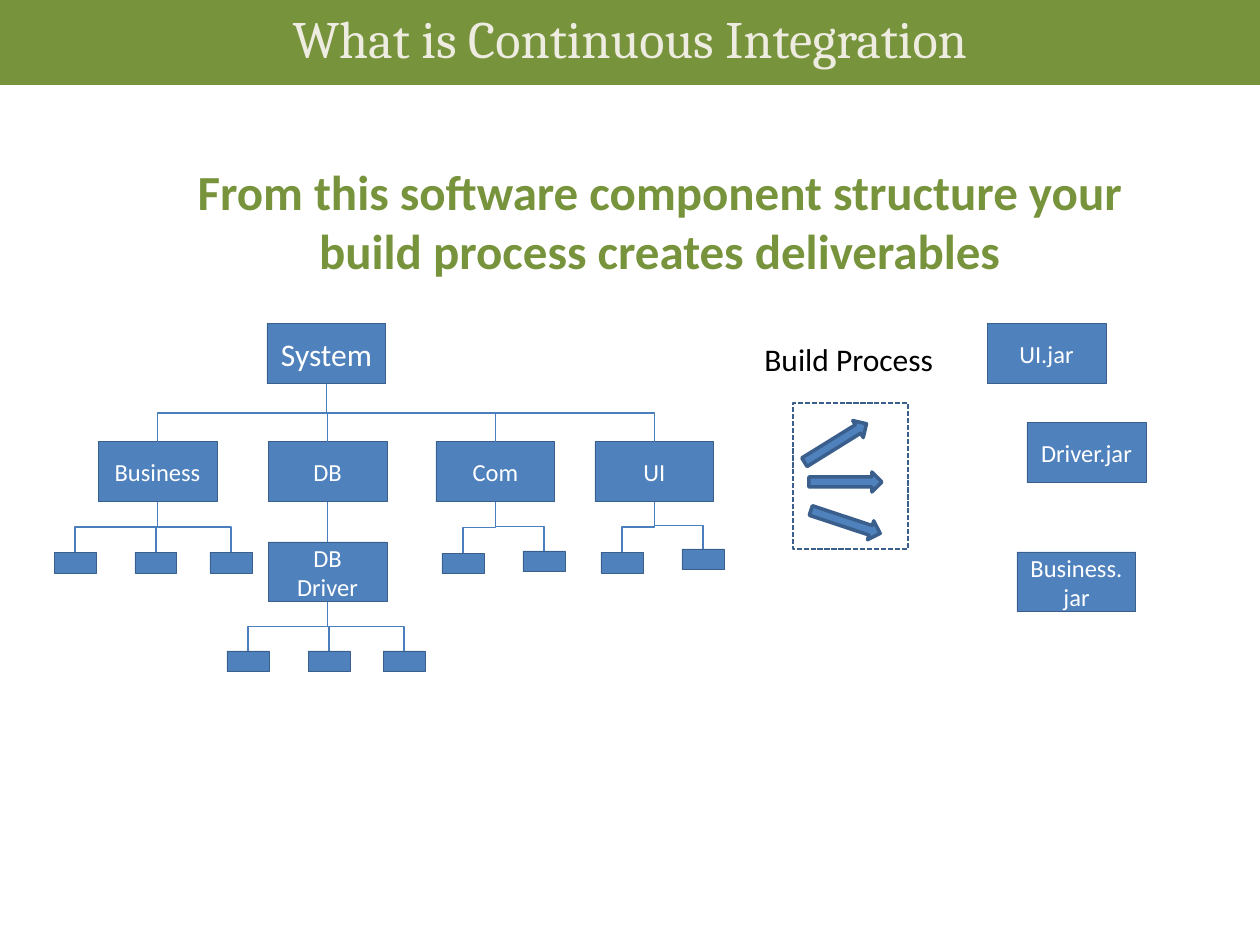
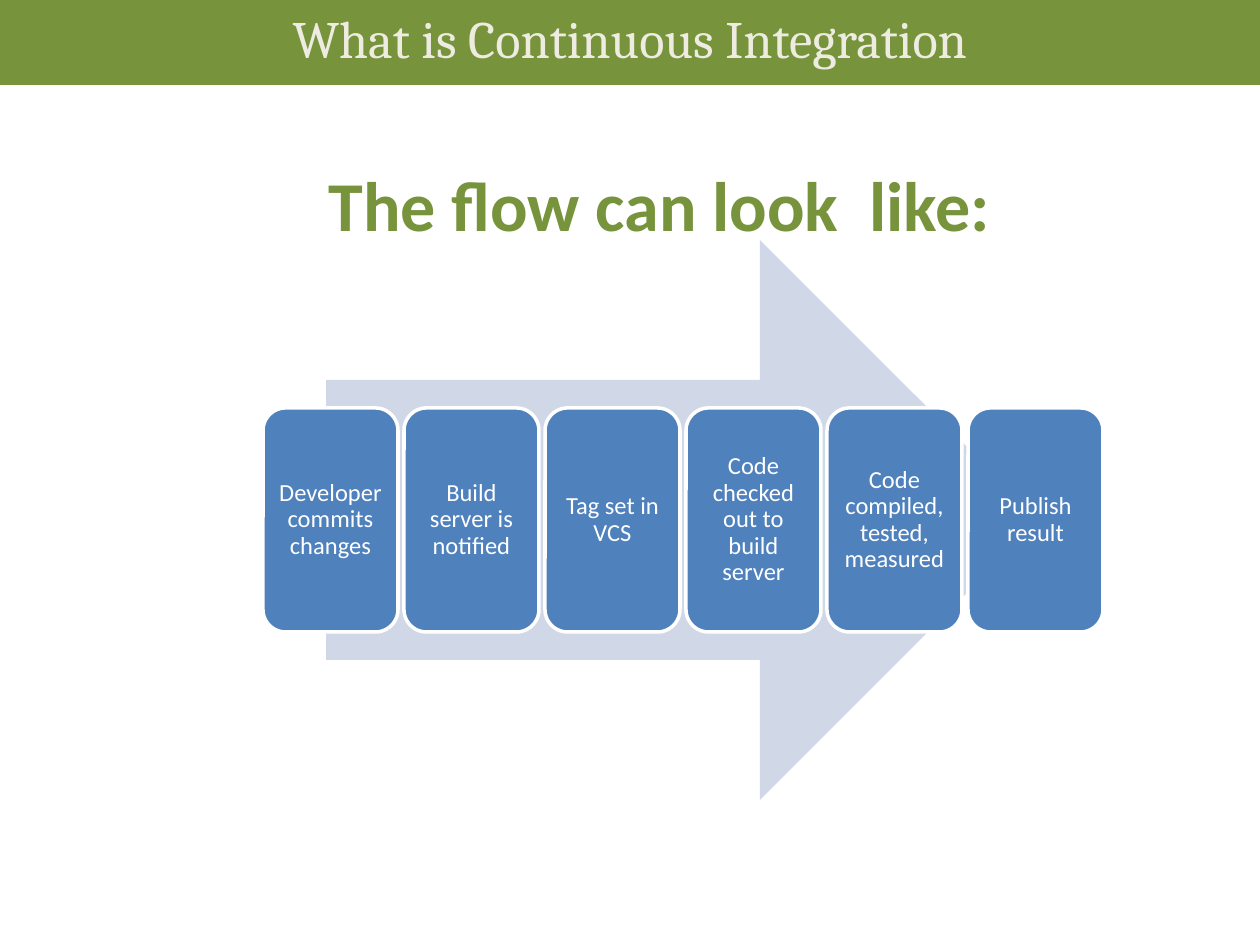
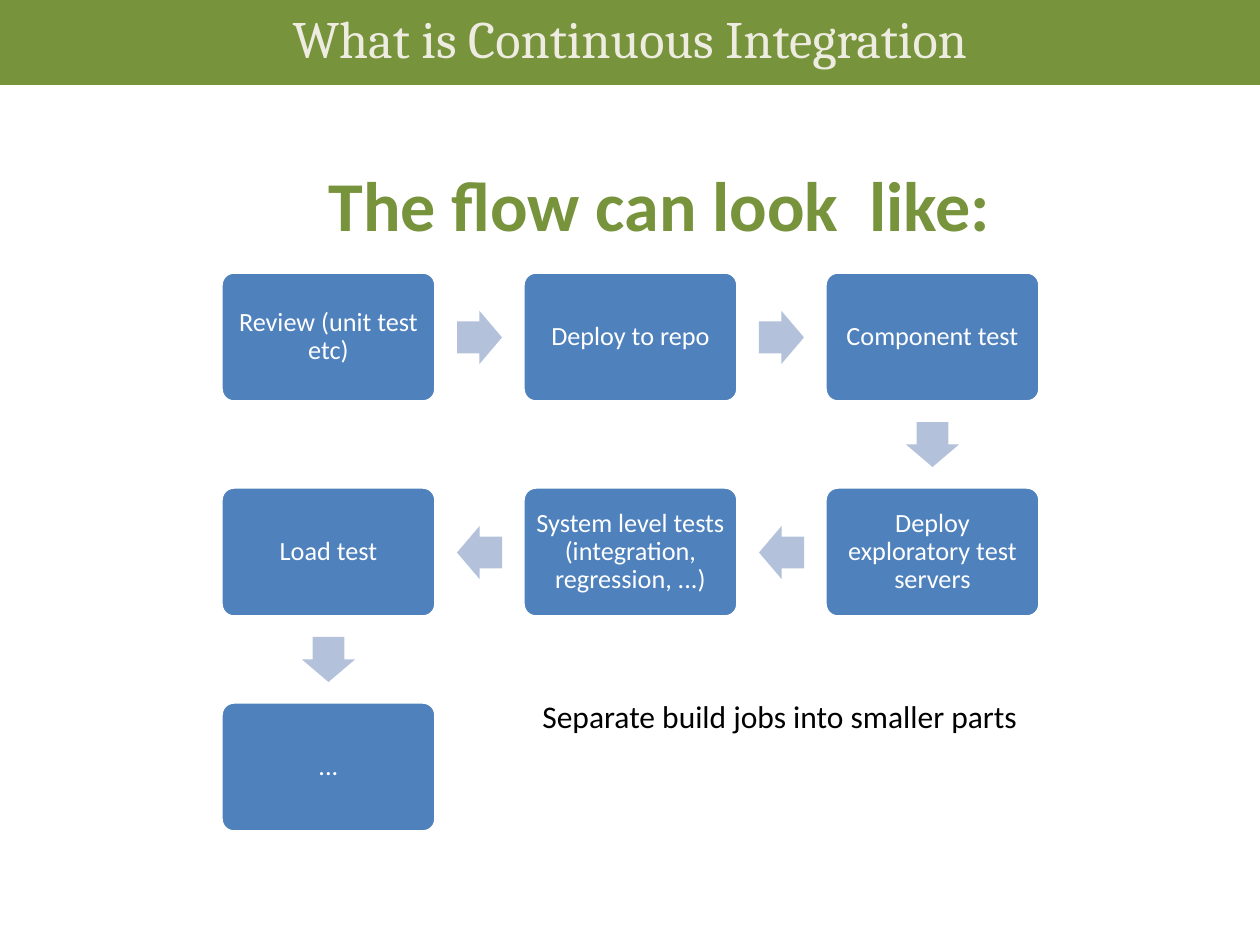
"""Build three slides on continuous integration."""
from pptx import Presentation
from pptx.dml.color import RGBColor
from pptx.enum.dml import MSO_LINE
from pptx.enum.shapes import MSO_CONNECTOR, MSO_SHAPE
from pptx.enum.text import MSO_ANCHOR, MSO_AUTO_SIZE, PP_ALIGN
from pptx.oxml.ns import qn
from pptx.util import Pt

RECT, ROUND_RECT, RIGHT_ARROW = MSO_SHAPE.RECTANGLE, MSO_SHAPE.ROUNDED_RECTANGLE, MSO_SHAPE.RIGHT_ARROW
ELBOW, STRAIGHT = MSO_CONNECTOR.ELBOW, MSO_CONNECTOR.STRAIGHT
CENTER, LEFT = PP_ALIGN.CENTER, PP_ALIGN.LEFT
TOP, MIDDLE = MSO_ANCHOR.TOP, MSO_ANCHOR.MIDDLE
FIT_SHAPE, DASH = MSO_AUTO_SIZE.SHAPE_TO_FIT_TEXT, MSO_LINE.SQUARE_DOT

GREEN, CREAM, WHITE, BLACK = "77933C", "EEECE1", "FFFFFF", "000000"
BLUE, BLUE_EDGE, BLUE_LINK = "4F81BD", "3A5F8C", "4B7EBC"
PALE_ARROW, STEP_ARROW = "D0D8E8", "B3C1DB"

EMU_PER_PX = 914400 / 126
TITLE = "What is Continuous Integration"
BOX_SIZE, LEAF_SIZE = (119, 60), (42, 21)
LEAF_OFFSETS = (0, 81, 156)
STEP_INSETS = dict.fromkeys(("margin_left", "margin_right", "margin_top", "margin_bottom"), 8)
TURNS = {(1, 0): 0, (0, 1): 90, (-1, 0): 180}


def px(length):
    """Turn pixels into EMU."""
    return round(length * EMU_PER_PX)


def rgb(hex_colour):
    """Turn a hex string into a colour."""
    return RGBColor.from_string(hex_colour)


def apply(target, formats):
    """Set each attribute named in a dict of format values."""
    for name, value in formats.items():
        setattr(target, name, value)


def write(shape, text, size, colour, font="Calibri", bold=False, align=CENTER,
          frame=None, paragraph=None):
    """Put one formatted paragraph into a shape."""
    text_frame = shape.text_frame
    apply(text_frame, {"word_wrap": True, "vertical_anchor": TOP, **(frame or {})})
    line = text_frame.paragraphs[0]
    apply(line, {"alignment": align, **(paragraph or {})})
    run = line.add_run()
    run.text = text
    apply(run.font, {"name": font, "size": Pt(size), "bold": bold})
    run.font.color.rgb = rgb(colour)


def add_figure(slide, kind, place, fill=None, edge=None, width=1, turn=0, adjust=()):
    """Add a preset shape with plain fill and outline."""
    figure = slide.shapes.add_shape(kind, *map(px, place))
    figure.shadow.inherit = False
    figure.rotation = turn
    for index, value in enumerate(adjust):
        figure.adjustments[index] = value
    if fill:
        figure.fill.solid()
        figure.fill.fore_color.rgb = rgb(fill)
    else:
        figure.fill.background()
    if edge:
        figure.line.color.rgb = rgb(edge)
        figure.line.width = Pt(width)
    else:
        figure.line.fill.background()
    return figure


def add_label(slide, place, text, size, colour, **formats):
    """Add a text box."""
    label = slide.shapes.add_textbox(*map(px, place))
    write(label, text, size, colour, **formats)


def add_component(slide, corner, text, size=14):
    """Add a labelled box for a component or deliverable."""
    box = add_figure(slide, RECT, (*corner, *BOX_SIZE), BLUE, BLUE_EDGE, 0.5)
    write(box, text, size, WHITE, frame={"vertical_anchor": MIDDLE})
    return box


def add_leaves(slide, left, tops):
    """Add a row of small unlabelled components."""
    return [add_figure(slide, RECT, (left + offset, top, *LEAF_SIZE), BLUE, BLUE_EDGE, 0.5)
            for offset, top in zip(LEAF_OFFSETS, tops)]


def style_link(link):
    """Give a connector its thin blue line and no shadow."""
    link.line.color.rgb = rgb(BLUE_LINK)
    link.line.width = Pt(0.75)
    properties = link._element.spPr
    properties.append(properties.makeelement(qn("a:effectLst"), {}))


def add_branches(slide, parent, children):
    """Link the bottom of a parent to the top of each child with elbows."""
    start_x, start_y = parent.left + parent.width // 2, parent.top + parent.height
    for child in children:
        across = child.left + child.width // 2 - start_x
        down = child.top - start_y
        left = start_x + (across - down) // 2
        top = start_y + (down - abs(across)) // 2
        link = slide.shapes.add_connector(ELBOW, left, top, left + down, top + abs(across))
        frame = link._element.spPr.find(qn("a:xfrm"))
        frame.set("rot", str((90 if across < 0 else 270) * 60000))
        if across >= 0:
            frame.set("flipH", "1")
        style_link(link)


def add_step(slide, place, text, size, adjust=()):
    """Add a rounded step of a flow."""
    step = add_figure(slide, ROUND_RECT, place, BLUE, WHITE, 2, adjust=adjust)
    insets = {name: px(value) for name, value in STEP_INSETS.items()}
    write(step, text, size, WHITE, frame={"vertical_anchor": MIDDLE, **insets},
          paragraph={"line_spacing": 0.9})


def add_page(deck, heading, size, height):
    """Add a slide with the title band and a green heading."""
    slide = deck.slides.add_slide(deck.slide_layouts[6])
    add_label(slide, (178, 155, 963, height), heading, size, GREEN, bold=True,
              paragraph={"space_before": Pt(6.4), "space_after": Pt(14.2)})
    band = add_figure(slide, RECT, (0, 0, 1260, 85), GREEN)
    write(band, TITLE, 30, CREAM, font="Cambria")
    return slide


def build_components(deck):
    """Show the component tree and what the build makes of it."""
    slide = add_page(
        deck, "From this software component structure your build process creates deliverables", 28, 128)
    system = add_component(slide, (267, 324), "System", 18)
    business, database, com, ui = parts = [
        add_component(slide, (left, 442), text)
        for left, text in ((98, "Business"), (268, "DB"), (436, "Com"), (595, "UI"))]
    driver = add_component(slide, (268, 542), "DB Driver")
    add_branches(slide, system, parts)
    for parent, left, tops in ((driver, 227, (651, 651, 651)), (com, 442, (553, 551)),
                               (business, 54, (552, 552, 552)), (ui, 601, (552, 549))):
        add_branches(slide, parent, add_leaves(slide, left, tops))
    driver_link = slide.shapes.add_connector(STRAIGHT, 0, 0, 0, 0)
    driver_link.begin_connect(database, 2)
    driver_link.end_connect(driver, 0)
    style_link(driver_link)

    for corner, text in (((987, 324), "UI.jar"), ((1027, 423), "Driver.jar"),
                         ((1017, 552), "Business.jar")):
        add_component(slide, corner, text)
    for left, top, turn in ((799, 433, 328.2), (809, 472, 0), (809, 512, 18.3)):
        add_figure(slide, RIGHT_ARROW, (left, top, 73, 20), BLUE, BLUE_EDGE, 2, turn)
    add_label(slide, (752, 334, 195, 50), "Build Process", 18, BLACK, align=LEFT,
              frame={"word_wrap": False, "auto_size": FIT_SHAPE})
    process_frame = add_figure(slide, RECT, (793, 403, 115, 146), edge=BLUE_EDGE)
    process_frame.line.dash_style = DASH


def build_commit_flow(deck):
    """Show the steps from commit to result on one broad arrow."""
    slide = add_page(deck, "The flow can look  like:", 40, 118)
    add_figure(slide, RIGHT_ARROW, (326, 240, 714, 560), PALE_ARROW)
    steps = ("Developer commits changes", "Build server is notified", "Tag set in VCS",
             "Code checked out to build server", "Code compiled, tested, measured",
             "Publish result")
    for index, text in enumerate(steps):
        add_step(slide, (263 + 141 * index, 408, 135, 224), text, 14)


def build_test_flow(deck):
    """Show the test jobs as a winding chain of steps."""
    slide = add_page(deck, "The flow can look  like:", 40, 118)
    steps = ("Review (unit test etc)", "Deploy to repo", "Component test",
             "Deploy exploratory test servers", "System level tests (integration, regression, ...)",
             "Load test", "...")
    columns, step_width, step_height = 3, 215, 130
    column_pitch, row_pitch = 302, 215
    arrow_width, arrow_height = 45, 53
    cells = []
    for index, text in enumerate(steps):
        row, column = divmod(index, columns)
        if row % 2:
            column = columns - 1 - column
        cells.append((column, row))
        add_step(slide, (221 + column_pitch * column, 272 + row_pitch * row,
                         step_width, step_height), text, 15, (0.1,))
    for (column, row), (next_column, next_row) in zip(cells, cells[1:]):
        middle_x = 221 + (step_width + column_pitch * (column + next_column)) // 2
        middle_y = 272 + (step_height + row_pitch * (row + next_row)) // 2
        add_figure(slide, RIGHT_ARROW,
                   (middle_x - arrow_width // 2, middle_y - arrow_height // 2,
                    arrow_width, arrow_height),
                   STEP_ARROW, turn=TURNS[next_column - column, next_row - row], adjust=(0.6, 0.5))
    add_label(slide, (530, 691, 609, 50), "Separate build jobs into smaller parts", 18, BLACK,
              align=LEFT, frame={"auto_size": FIT_SHAPE})


def main():
    """Build and save the deck."""
    deck = Presentation()
    apply(deck, {"slide_width": px(1260), "slide_height": px(945)})
    for build in (build_components, build_commit_flow, build_test_flow):
        build(deck)
    deck.save("out.pptx")


if __name__ == "__main__":
    main()
